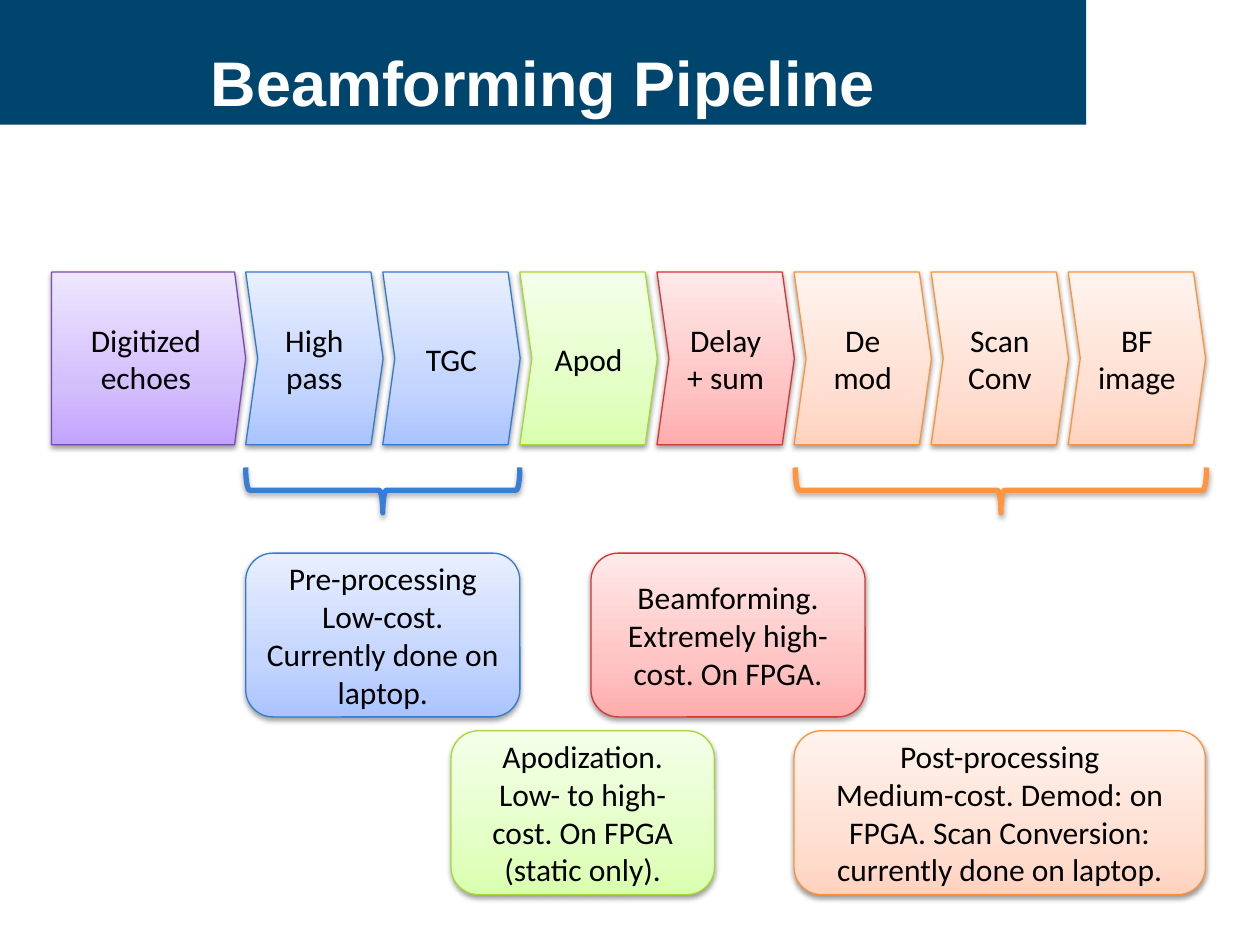
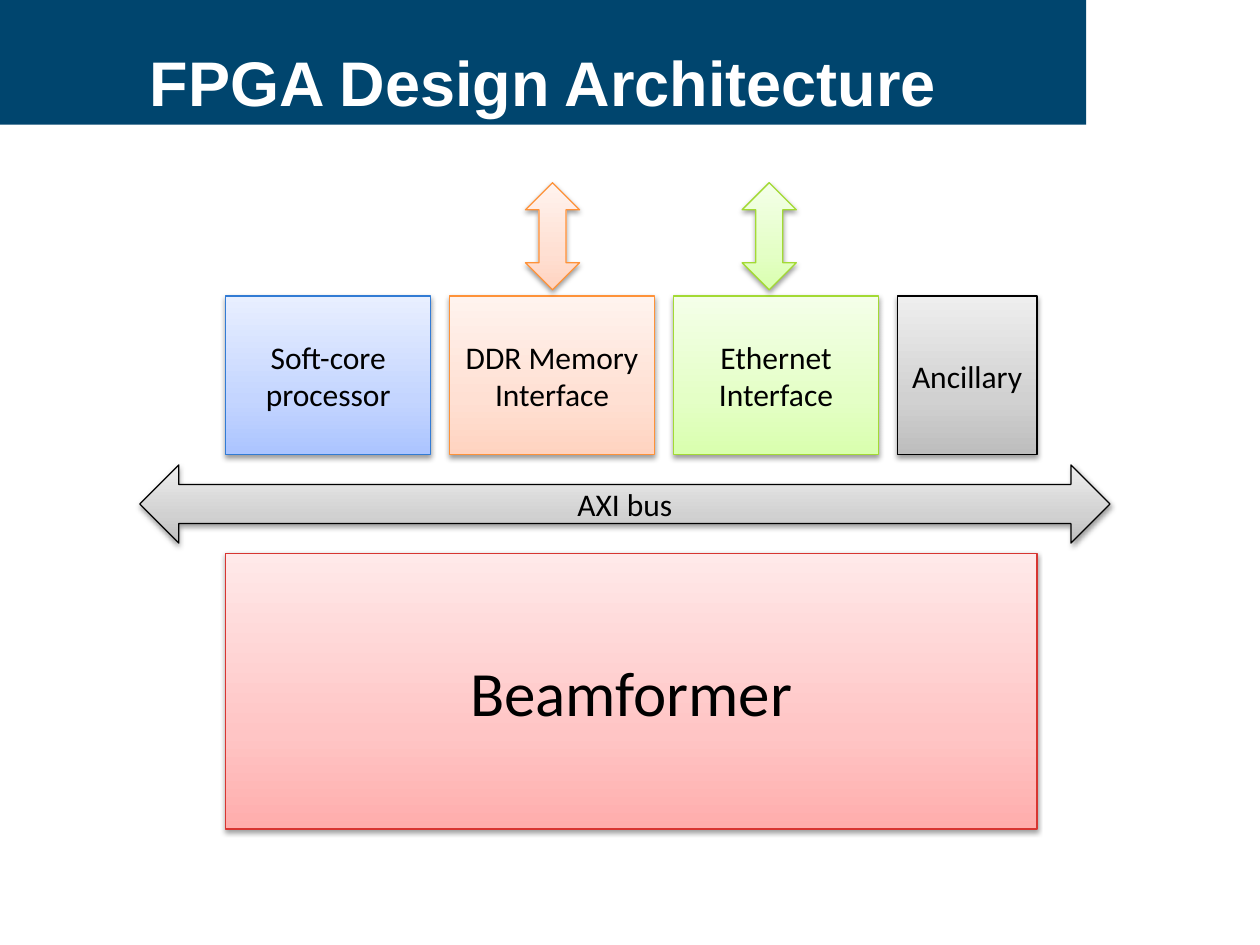
import pptx
import copy
import pptx.dml.color
import pptx.enum.shapes
import pptx.enum.text
import pptx.oxml
import pptx.oxml.ns
import pptx.util

RGB = pptx.dml.color.RGBColor
SHAPE = pptx.enum.shapes.MSO_SHAPE

NAVY = RGB(0x00, 0x45, 0x6E)
WHITE = RGB(0xFF, 0xFF, 0xFF)
BLACK = RGB(0x00, 0x00, 0x00)
BLUE_BRACE = RGB(0x37, 0x7E, 0xD5)
ORANGE_BRACE = RGB(0xFF, 0x96, 0x3F)

PURPLE = (RGB(0xC3, 0xA3, 0xFE), RGB(0xD4, 0xBF, 0xFD), RGB(0xEE, 0xE6, 0xFF), RGB(0x7B, 0x48, 0xB9))
BLUE = (RGB(0xAB, 0xC4, 0xFF), RGB(0xC4, 0xD5, 0xFF), RGB(0xE8, 0xEF, 0xFF), RGB(0x32, 0x7B, 0xD4))
GREEN = (RGB(0xD9, 0xFF, 0xAE), RGB(0xE4, 0xFF, 0xC6), RGB(0xF4, 0xFF, 0xE9), RGB(0xA3, 0xDA, 0x34))
RED = (RGB(0xFF, 0xAD, 0xAC), RGB(0xFF, 0xC5, 0xC5), RGB(0xFF, 0xE9, 0xE9), RGB(0xD7, 0x35, 0x31))
ORANGE = (RGB(0xFF, 0xD3, 0xC0), RGB(0xFF, 0xE0, 0xD3), RGB(0xFF, 0xF3, 0xEE), RGB(0xFE, 0x92, 0x39))
GREY = (RGB(0xBD, 0xBD, 0xBD), RGB(0xD1, 0xD1, 0xD1), RGB(0xEE, 0xEE, 0xEE), BLACK)

STOPS = (0, 0.35, 1)
COLS, ROWS = 100, 75
BAND_COLS = 86.2
TITLE = {"name": "Arial", "size": pptx.util.Pt(36), "bold": True}
BODY = {"name": "Calibri", "size": pptx.util.Pt(18)}
LARGE = {**BODY, "size": pptx.util.Pt(36)}


class Deck:
    def __init__(self):
        self.prs = pptx.Presentation()
        self.prs.slide_width = pptx.util.Inches(10)
        self.prs.slide_height = pptx.util.Inches(7.5)
        self.s = None

    def grid(self, left, top, width, height):
        col = self.prs.slide_width / COLS
        row = self.prs.slide_height / ROWS
        return [round(n * unit) for n, unit in zip((left, top, width, height), (col, row, col, row))]

    def slide(self, title):
        self.s = self.prs.slides.add_slide(self.prs.slide_layouts[6])
        band = self.shape(SHAPE.RECTANGLE, 0, 0, BAND_COLS, 9.9)
        band.fill.solid()
        band.fill.fore_color.rgb = NAVY
        band.line.fill.background()
        box = self.s.shapes.add_textbox(*self.grid(0, 1.4, BAND_COLS, 10.1))
        self.text(box, title, TITLE, WHITE, wrap=False)

    def shape(self, kind, left, top, width, height):
        sp = self.s.shapes.add_shape(kind, *self.grid(left, top, width, height))
        sp.shadow.inherit = False
        return sp

    def text(self, sp, text, style, color=BLACK, wrap=True):
        tf = sp.text_frame
        tf.word_wrap = wrap
        tf.vertical_anchor = pptx.enum.text.MSO_ANCHOR.MIDDLE
        for i, line in enumerate(text.split("\n")):
            p = tf.add_paragraph() if i else tf.paragraphs[0]
            p.alignment = pptx.enum.text.PP_ALIGN.CENTER
            r = p.add_run()
            r.text = line
            for name, value in style.items():
                setattr(r.font, name, value)
            r.font.color.rgb = color

    def outline(self, sp, color, width):
        sp.line.color.rgb = color
        sp.line.width = pptx.util.Pt(width)

    def shadow(self, sp, opacity, distance):
        effects = sp._element.spPr.find(pptx.oxml.ns.qn("a:effectLst"))
        effects.append(pptx.oxml.parse_xml(
            f'<a:outerShdw {pptx.oxml.ns.nsdecls("a")} blurRad="{pptx.util.Pt(3.1)}" '
            f'dist="{pptx.util.Pt(distance)}" dir="5400000" rotWithShape="0">'
            f'<a:srgbClr val="{BLACK}"><a:alpha val="{opacity * 1000}"/></a:srgbClr></a:outerShdw>'))

    def block(self, kind, tone, left, top, width, height, text="", style=BODY, adjust=None):
        sp = self.shape(kind, left, top, width, height)
        if adjust is not None:
            sp.adjustments[0] = adjust
        sp.fill.gradient()
        sp.fill.gradient_angle = 90
        stops = sp._element.spPr.find(".//" + pptx.oxml.ns.qn("a:gsLst"))
        stops.append(copy.deepcopy(stops[0]))
        for stop, position, color in zip(sp.fill.gradient_stops, STOPS, tone):
            stop.position = position
            stop.color.rgb = color
        self.outline(sp, tone[3], 0.75)
        self.shadow(sp, 38, 1.6)
        if text:
            self.text(sp, text, style)

    def brace(self, color, left, top, span, depth):
        sp = self.shape(SHAPE.LEFT_BRACE, left + (span - depth) / 2, top - (span - depth) / 2, depth, span)
        sp.rotation = 270
        sp.fill.background()
        self.outline(sp, color, 3)
        self.shadow(sp, 35, 1.8)


def pipeline(deck):
    deck.slide("Beamforming Pipeline")
    first, step, top, height = 19.5, 10.88, 21.6, 13.7
    deck.block(SHAPE.PENTAGON, PURPLE, 4.1, top, 15.4, height, "Digitized echoes", adjust=0.064)
    stages = [("High\npass", BLUE), ("TGC", BLUE), ("Apod", GREEN), ("Delay + sum", RED),
              ("De mod", ORANGE), ("Scan Conv", ORANGE), ("BF image", ORANGE)]
    for i, (text, tone) in enumerate(stages):
        deck.block(SHAPE.CHEVRON, tone, first + i * step, top, 10.9, height, text, adjust=0.088)
    post = first + 4 * step
    deck.brace(BLUE_BRACE, first, 37.1, 2 * step, 3.6)
    deck.brace(ORANGE_BRACE, post + 0.1, 37.1, 3 * step, 3.6)
    upper, lower = 43.9, 58
    notes = [
        (BLUE, first, upper, 2 * step, "Pre-processing\nLow-cost. Currently done on laptop."),
        (GREEN, 35.8, lower, 20.9, "Apodization. Low- to high-cost. On FPGA (static only)."),
        (RED, 46.9, upper, 2 * step, "Beamforming. Extremely high-cost. On FPGA."),
        (ORANGE, post, lower, 3 * step,
         "Post-processing\nMedium-cost. Demod: on FPGA. Scan Conversion: currently done on laptop."),
    ]
    for tone, left, row, width, text in notes:
        deck.block(SHAPE.ROUNDED_RECTANGLE, tone, left, row, width, 13, text)


def architecture(deck):
    deck.slide("FPGA Design Architecture")
    left, step = 17.9, 17.77
    deck.block(SHAPE.LEFT_RIGHT_ARROW, GREY, 11.1, 36.9, 77, 6.2, "AXI bus")
    modules = [("Soft-core processor", BLUE, 16.3), ("DDR Memory Interface", ORANGE, 16.3),
               ("Ethernet Interface", GREEN, 16.3), ("Ancillary", GREY, 11.1)]
    for i, (text, tone, width) in enumerate(modules):
        deck.block(SHAPE.RECTANGLE, tone, left + i * step, 23.5, width, 12.6, text)
    for tone, arrow_left in ((ORANGE, 41.7), (GREEN, 58.9)):
        deck.block(SHAPE.UP_DOWN_ARROW, tone, arrow_left, 14.5, 4.3, 8.5)
    deck.block(SHAPE.RECTANGLE, RED, left, 43.9, 64.4, 21.9, "Beamformer", LARGE)


def main():
    deck = Deck()
    pipeline(deck)
    architecture(deck)
    deck.prs.save("out.pptx")


if __name__ == "__main__":
    main()
